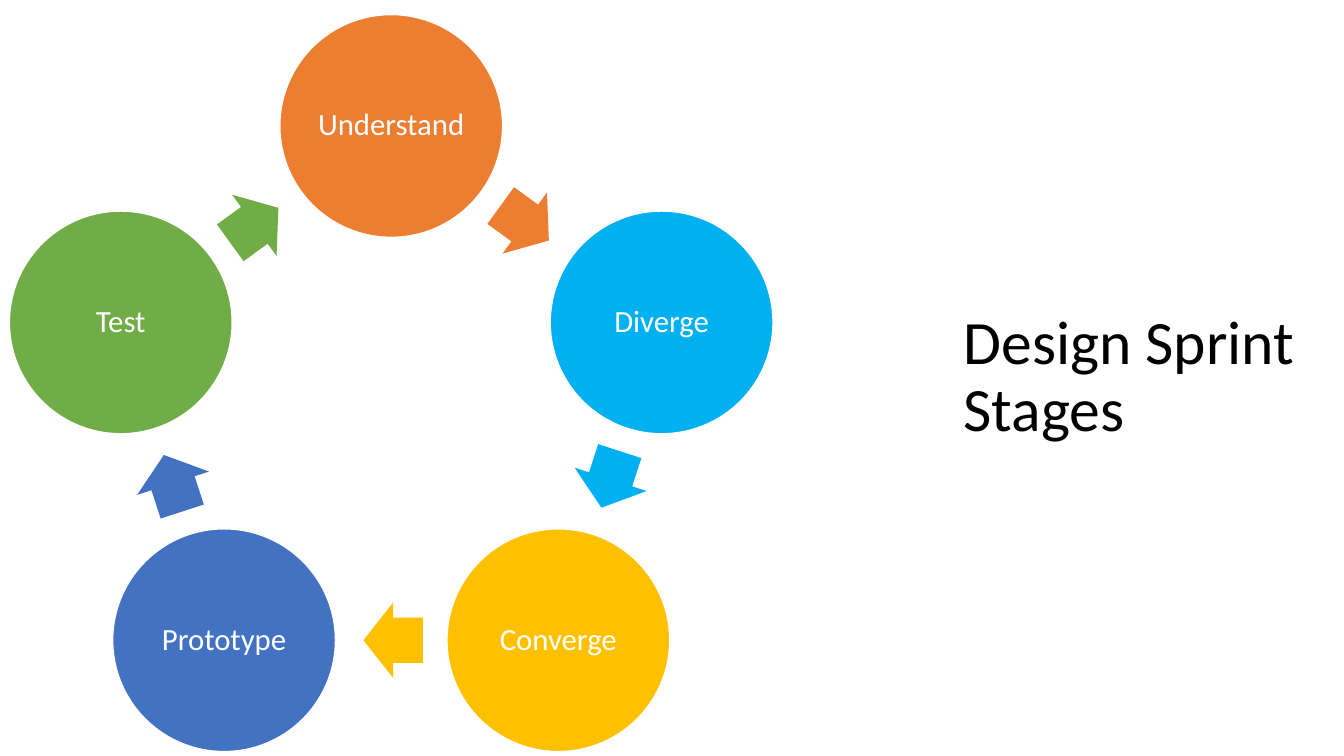
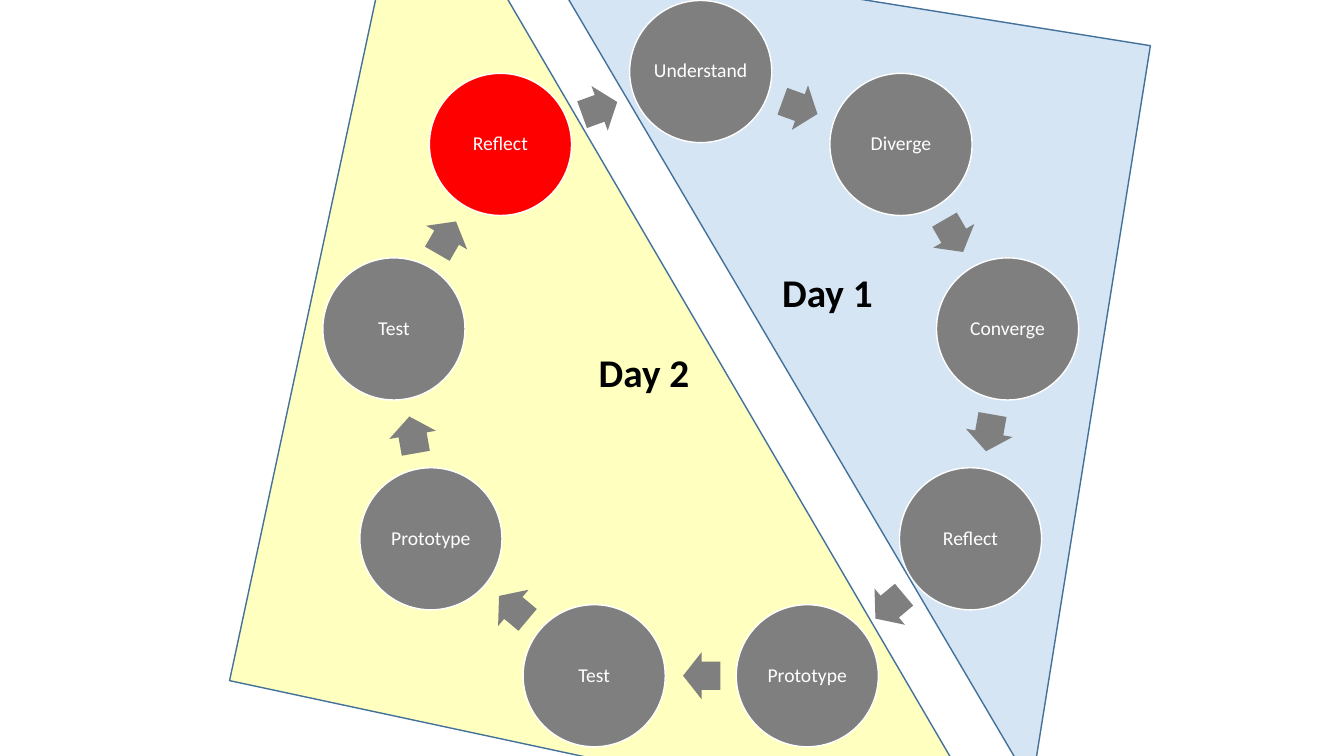
from math import cos, radians, sin

from lxml import etree
from pptx import Presentation
from pptx import util as u
from pptx.dml.color import RGBColor
from pptx.enum import shapes, text
from pptx.oxml.ns import qn

EMU_PER_PX = 9144
SLIDE_WIDTH, SLIDE_HEIGHT = 1333, 750
FONT = "Calibri"
COLORS = {
    "black": "000000",
    "white": "FFFFFF",
    "orange": "ED7D31",
    "sky": "00B0F0",
    "gold": "FFC000",
    "blue": "4372C3",
    "green": "70AD47",
    "gray": "7F7F7F",
    "red": "FF0000",
    "day1": "5B9BD5",
    "day2": "FFFF00",
    "outline": "42719B",
}


def px(length):
    return u.Emu(round(length * EMU_PER_PX))


def rgb(name):
    return RGBColor.from_string(COLORS[name])


class Deck:
    def __init__(self):
        self.prs = Presentation()
        self.prs.slide_width = px(SLIDE_WIDTH)
        self.prs.slide_height = px(SLIDE_HEIGHT)
        self.slide = None

    def new_slide(self):
        self.slide = self.prs.slides.add_slide(self.prs.slide_layouts[6])

    def set_text(self, holder, words, size, color, bold=False, spacing=None,
                 align=text.PP_ALIGN.LEFT, anchor=text.MSO_ANCHOR.TOP, wrap=False):
        frame = holder.text_frame
        frame.text = words
        frame.word_wrap = wrap
        frame.vertical_anchor = anchor
        line = frame.paragraphs[0]
        line.alignment = align
        line.line_spacing = spacing
        font = line.runs[0].font
        font.name = FONT
        font.size = u.Pt(size)
        font.bold = bold
        font.color.rgb = rgb(color)

    def label(self, words, left, top, width, height, size, **style):
        box = self.slide.shapes.add_textbox(px(left), px(top), px(width), px(height))
        self.set_text(box, words, size, "black", **style)

    def title(self, words):
        self.label(words, 946, 0, 387, 750, 44, spacing=0.9,
                   anchor=text.MSO_ANCHOR.MIDDLE, wrap=True)

    def shape(self, kind, left, top, width, height, fill, line=None, rotation=0):
        figure = self.slide.shapes.add_shape(kind, px(left), px(top), px(width), px(height))
        figure.shadow.inherit = False
        figure.rotation = rotation
        figure.fill.solid()
        figure.fill.fore_color.rgb = rgb(fill)
        if line:
            figure.line.color.rgb = rgb(line)
            figure.line.width = u.Pt(1)
        else:
            figure.line.fill.background()
        return figure

    def day_area(self, left, top, width, height, fill, rotation):
        area = self.shape(shapes.MSO_SHAPE.RIGHT_TRIANGLE, left, top, width, height,
                          fill, "outline", rotation)
        tint = area.element.spPr.find(qn("a:solidFill")).find(qn("a:srgbClr"))
        etree.SubElement(tint, qn("a:alpha")).set("val", "25000")

    def stage(self, words, x, y, diameter, fill, size):
        circle = self.shape(shapes.MSO_SHAPE.OVAL, x - diameter / 2, y - diameter / 2,
                            diameter, diameter, fill, "white")
        self.set_text(circle, words, size, "white", spacing=0.9,
                      align=text.PP_ALIGN.CENTER, anchor=text.MSO_ANCHOR.MIDDLE)

    def arrow(self, x, y, length, breadth, fill, rotation):
        pointer = self.shape(shapes.MSO_SHAPE.RIGHT_ARROW, x - length / 2, y - breadth / 2,
                             length, breadth, fill, rotation=rotation)
        pointer.adjustments[0] = 0.6
        pointer.adjustments[1] = 0.5

    def cycle(self, stages, center, radius, diameter, arrow_size, setback, size):
        step = 360 / len(stages)
        center_x, center_y = center
        midway = radius * cos(radians(step / 2))
        for index, (words, stage_fill, arrow_fill) in enumerate(stages):
            angle = radians(index * step)
            self.stage(words, center_x + radius * sin(angle),
                       center_y - radius * cos(angle), diameter, stage_fill, size)
            heading = (index + 0.5) * step
            turn = radians(heading)
            self.arrow(center_x + midway * sin(turn) - setback * cos(turn),
                       center_y - midway * cos(turn) - setback * sin(turn),
                       *arrow_size, arrow_fill, heading)


def sprint_stages(deck):
    deck.new_slide()
    deck.title("Design Sprint Stages")
    stages = [("Understand", "orange"), ("Diverge", "sky"), ("Converge", "gold"),
              ("Prototype", "blue"), ("Test", "green")]
    deck.cycle([(words, color, color) for words, color in stages],
               center=(388, 407), radius=282, diameter=221,
               arrow_size=(59, 75), setback=2, size=22)


def two_day_plan(deck):
    deck.new_slide()
    deck.day_area(471, -8, 615, 744, "day1", 189.1)
    deck.day_area(309, -92, 784, 859, "day2", 12.1)
    stages = ["Understand", "Diverge", "Converge", "Reflect", "Prototype",
              "Test", "Prototype", "Test"]
    deck.cycle([(words, "gray", "gray") for words in stages] + [("Reflect", "red", "gray")],
               center=(695, 380), radius=309, diameter=141,
               arrow_size=(37, 47), setback=1, size=14)
    for day, left, top in (("Day 1", 766, 261), ("Day 2", 584, 341)):
        deck.label(day, left, top, 116, 57, 28, bold=True)


def main():
    deck = Deck()
    sprint_stages(deck)
    two_day_plan(deck)
    deck.prs.save("out.pptx")


if __name__ == "__main__":
    main()
